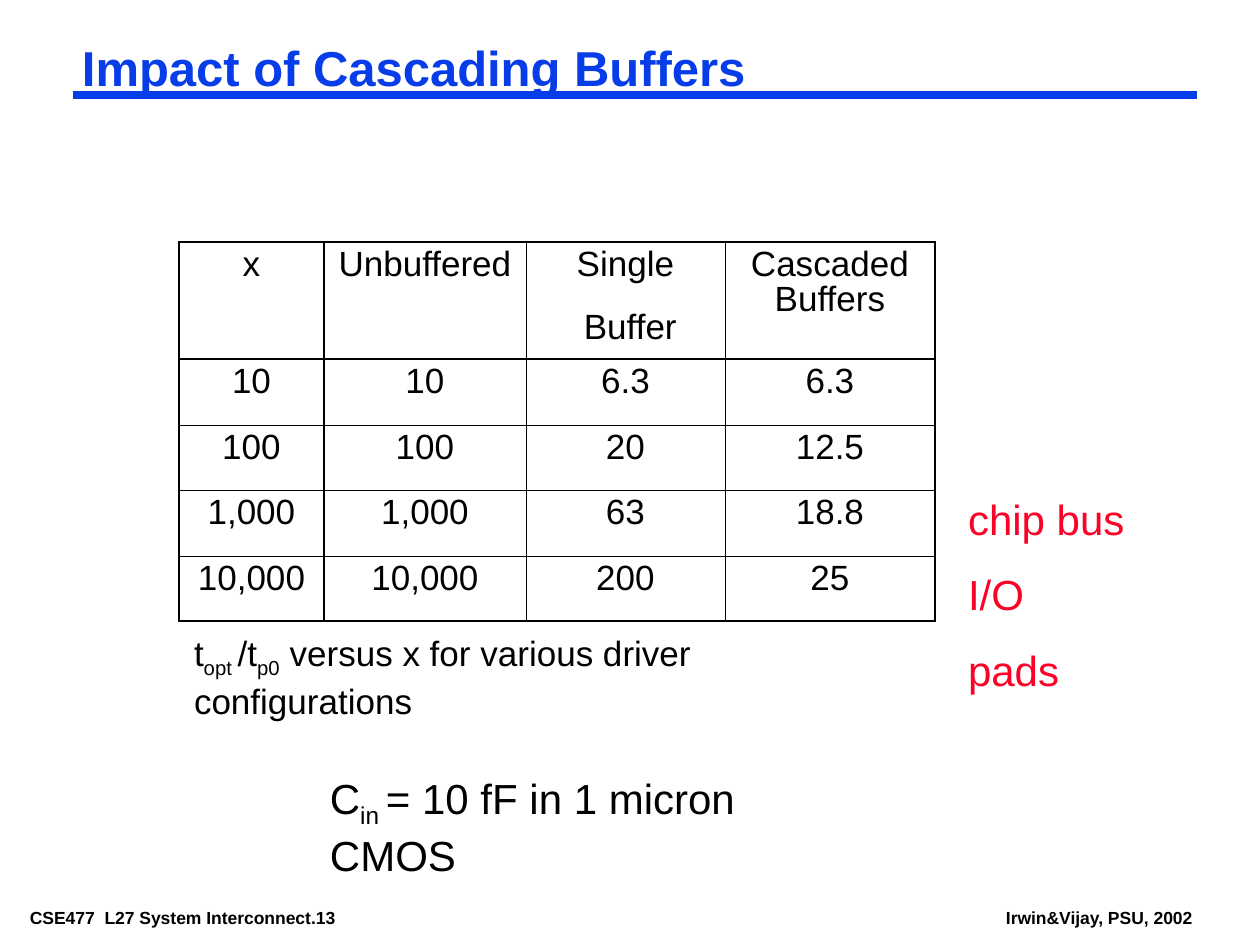
"""Build the slide on the impact of cascading buffers."""
from lxml import etree
from pptx import Presentation
from pptx.dml.color import RGBColor
from pptx.enum.shapes import MSO_CONNECTOR
from pptx.enum.text import MSO_ANCHOR, MSO_AUTO_SIZE, PP_ALIGN
from pptx.oxml.ns import qn
from pptx.util import Pt

LEFT, CENTER = PP_ALIGN.LEFT, PP_ALIGN.CENTER
TOP = MSO_ANCHOR.TOP
GROW, FIXED = MSO_AUTO_SIZE.SHAPE_TO_FIT_TEXT, MSO_AUTO_SIZE.NONE
STRAIGHT = MSO_CONNECTOR.STRAIGHT

BLACK = RGBColor(0x00, 0x00, 0x00)
BLUE = RGBColor(0x06, 0x3D, 0xE8)
RED = RGBColor(0xFC, 0x01, 0x28)
FONT = "Arial"
SCALE = 914400 / 126
THICK, THIN = 1.08, 0.45

TITLE = ("Impact of Cascading Buffers", (73, 42, 1124, 58))
RULE = (73, 95, 1197, 95)
TABLE = [
    ["x", "Unbuffered", "Single\n Buffer", "Cascaded Buffers"],
    ["10", "10", "6.3", "6.3"],
    ["100", "100", "20", "12.5"],
    ["1,000", "1,000", "63", "18.8"],
    ["10,000", "10,000", "200", "25"],
]
ORIGIN = (179, 242)
COLS = [145, 202, 199, 210]
ROWS = [117, 66, 65, 66, 65]

# Within a paragraph, every second run is a subscript.
FOOT = dict(size=10, bold=True)
NOTES = [
    ([["CSE477  L27 System Interconnect.13"]], (21, 903, 388, 28), (9, 4), FOOT),
    ([["Irwin&Vijay, PSU, 2002"]], (997, 903, 205, 28), (9, 4), FOOT),
    ([["C", "in ", "= 10 fF in 1 micron CMOS"]], (317, 766, 567, 71), (13, 6),
     dict(size=24)),
    ([["t", "opt ", "/t", "p0", " versus x for various driver configurations"]],
     (181, 626, 750, 60), (13, 6), dict(size=20)),
    ([["chip bus"], ["I/O pads"]], (955, 462, 184, 164), (13, 6),
     dict(size=24, color=RED, line=1.5)),
]


def px(*nums):
    return [round(num * SCALE) for num in nums]


def write(frame, paras, size=20, color=BLACK, bold=False, align=LEFT,
          line=1.0, before=0):
    for i, runs in enumerate(paras):
        para = frame.paragraphs[0] if i == 0 else frame.add_paragraph()
        para.alignment = align
        para.line_spacing = line
        para.space_before = Pt(before)
        for j, text in enumerate(runs):
            run = para.add_run()
            run.text = text
            font = run.font
            font.name, font.size, font.bold = FONT, Pt(size), bold
            font.color.rgb = color
            if j % 2:
                run._r.get_or_add_rPr().set("baseline", "-25000")


def inset(frame, side, edge):
    frame.margin_left = frame.margin_right = px(side)[0]
    frame.margin_top = frame.margin_bottom = px(edge)[0]
    frame.vertical_anchor = TOP


def border(cell, widths):
    props = cell._tc.get_or_add_tcPr()
    for side, width in zip("LRTB", widths):
        edge = etree.SubElement(props, qn("a:ln" + side), w=str(Pt(width)))
        fill = etree.SubElement(edge, qn("a:solidFill"))
        etree.SubElement(fill, qn("a:srgbClr"), val=str(BLACK))


def add_title(slide):
    text, box = TITLE
    title = slide.shapes.title
    title.left, title.top, title.width, title.height = px(*box)
    frame = title.text_frame
    inset(frame, 9, 4)
    frame.word_wrap = True
    frame.auto_size = FIXED
    write(frame, [[text]], size=28, color=BLUE, bold=True, line=0.87)


def add_rule(slide):
    rule = slide.shapes.add_connector(STRAIGHT, *px(*RULE))
    rule.line.color.rgb = BLUE
    rule.line.width = Pt(4.5)
    etree.SubElement(rule._element.spPr, qn("a:effectLst"))


def add_grid(slide):
    box = px(*ORIGIN, sum(COLS), sum(ROWS))
    grid = slide.shapes.add_table(len(ROWS), len(COLS), *box).table
    grid.first_row = grid.horz_banding = False
    for col, width in zip(grid.columns, px(*COLS)):
        col.width = width
    for row, height in zip(grid.rows, px(*ROWS)):
        row.height = height
    wide = [THICK, THICK] + [THIN] * (len(COLS) - 2) + [THICK]
    high = [THICK, THICK] + [THIN] * (len(ROWS) - 2) + [THICK]
    for r, row in enumerate(TABLE):
        for c, text in enumerate(row):
            cell = grid.cell(r, c)
            border(cell, wide[c:c + 2] + high[r:r + 2])
            cell.fill.background()
            write(cell.text_frame, [[part] for part in text.split("\n")],
                  align=CENTER, line=0.9, before=16.2)


def add_note(slide, paras, box, pad, style):
    frame = slide.shapes.add_textbox(*px(*box)).text_frame
    inset(frame, *pad)
    frame.word_wrap = False
    frame.auto_size = GROW
    write(frame, paras, **style)


def main():
    deck = Presentation()
    deck.slide_width, deck.slide_height = px(1260, 945)
    slide = deck.slides.add_slide(deck.slide_layouts[5])
    add_rule(slide)
    add_title(slide)
    add_grid(slide)
    for note in NOTES:
        add_note(slide, *note)
    deck.save("out.pptx")


if __name__ == "__main__":
    main()
